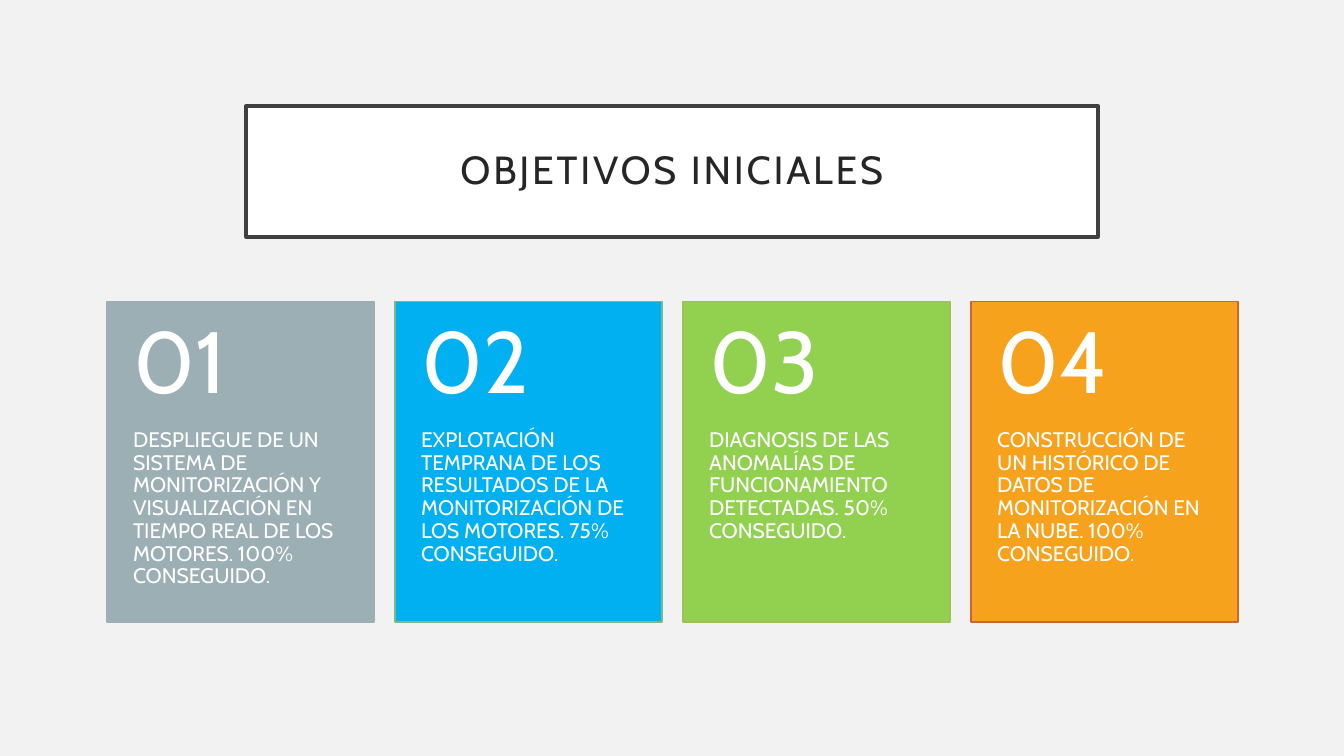
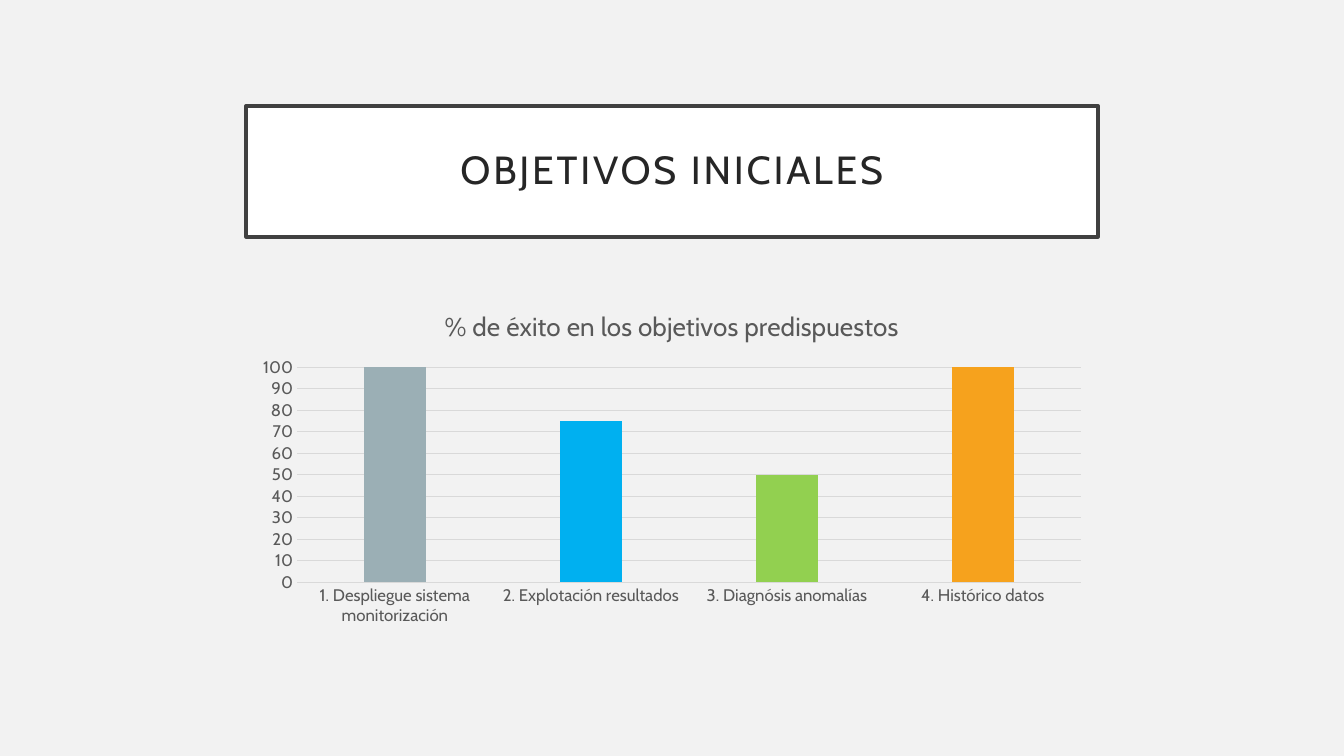
from pptx import Presentation
from pptx.chart.data import CategoryChartData
from pptx.dml.color import RGBColor
from pptx.enum.chart import XL_CHART_TYPE, XL_TICK_MARK
from pptx.enum.shapes import MSO_SHAPE
from pptx.enum.text import MSO_ANCHOR, PP_ALIGN
from pptx.util import Inches, Pt

COLUMNS = XL_CHART_TYPE.COLUMN_CLUSTERED
NO_TICK = XL_TICK_MARK.NONE
RECT = MSO_SHAPE.RECTANGLE
TOP, MIDDLE = MSO_ANCHOR.TOP, MSO_ANCHOR.MIDDLE
CENTER = PP_ALIGN.CENTER

FONT = "Cabin"
COLORS = {
    "background": "F2F2F2",
    "white": "FFFFFF",
    "frame": "404040",
    "title": "262626",
    "chart_text": "595959",
    "grid": "D9D9D9",
    "gray": "9BAFB5",
    "blue": "00B0F0",
    "blue_edge": "7BB88C",
    "green": "92D050",
    "green_edge": "9FC057",
    "orange": "F6A21D",
    "orange_edge": "C96731",
}

TITLE = "OBJETIVOS INICIALES"
CHART_TITLE = "% de éxito en los objetivos predispuestos"
CONTENT_LEFT, CONTENT_WIDTH = 2.44, 8.45
CARD_LEFT, LAST_CARD_LEFT = 1.06, 9.63
CARD_TOP, CARD_WIDTH = 2.99, 2.65
NUMBER_HEIGHT, BODY_HEIGHT = 1.27, 1.91

# Card text, fill, edge, chart category, percentage achieved
OBJECTIVES = [
    ("DESPLIEGUE DE UN SISTEMA DE MONITORIZACIÓN Y VISUALIZACIÓN EN TIEMPO REAL "
     "DE LOS MOTORES. 100% CONSEGUIDO.",
     "gray", "gray", "1. Despliegue sistema monitorización", 100),
    ("EXPLOTACIÓN TEMPRANA DE LOS RESULTADOS DE LA MONITORIZACIÓN DE LOS MOTORES. "
     "75% CONSEGUIDO.",
     "blue", "blue_edge", "2. Explotación resultados", 75),
    ("DIAGNOSIS DE LAS ANOMALÍAS DE FUNCIONAMIENTO DETECTADAS. 50% CONSEGUIDO.",
     "green", "green_edge", "3. Diagnósis anomalías", 50),
    ("CONSTRUCCIÓN DE UN HISTÓRICO DE DATOS DE MONITORIZACIÓN EN LA NUBE. "
     "100% CONSEGUIDO.",
     "orange", "orange_edge", "4. Histórico datos", 100),
]


def rgb(name):
    return RGBColor.from_string(COLORS[name])


def paint(fill, color):
    fill.solid()
    fill.fore_color.rgb = rgb(color)


def style_line(line, color, width):
    line.color.rgb = rgb(color)
    line.width = Pt(width)


def style_font(font, size, color):
    font.name = FONT
    font.size = Pt(size)
    font.bold = False
    font.color.rgb = rgb(color)


def add_box(shapes, box, fill, edge, width):
    sp = shapes.add_shape(RECT, *map(Inches, box))
    sp.shadow.inherit = False
    paint(sp.fill, fill)
    style_line(sp.line, edge, width)
    return sp


def set_text(sp, text, size, color, anchor, insets):
    """Fill a shape with one paragraph; insets are left, top, right, bottom."""
    tf = sp.text_frame
    tf.word_wrap = True
    tf.vertical_anchor = anchor
    tf.margin_left, tf.margin_top, tf.margin_right, tf.margin_bottom = map(Inches, insets)
    p = tf.paragraphs[0]
    p.text = text
    p.line_spacing = 0.9
    style_font(p.font, size, color)
    return p


def add_titled_slide(prs):
    slide = prs.slides.add_slide(prs.slide_layouts[6])
    sp = add_box(slide.shapes, (CONTENT_LEFT, 1.05, CONTENT_WIDTH, 1.3),
                 "white", "frame", 2.5)
    p = set_text(sp, TITLE, 28, "title", MIDDLE, (0.2,) * 4)
    p.alignment = CENTER
    p.runs[0]._r.get_or_add_rPr().set("spc", "200")
    return slide


def add_card(shapes, left, number, text, fill, edge):
    add_box(shapes, (left, CARD_TOP, CARD_WIDTH, NUMBER_HEIGHT + BODY_HEIGHT),
            fill, edge, 1)
    body = shapes.add_textbox(Inches(left), Inches(CARD_TOP + NUMBER_HEIGHT),
                              Inches(CARD_WIDTH), Inches(BODY_HEIGHT))
    set_text(body, text, 15, "white", TOP, (0.26, 0, 0.26, 0.36))
    heading = shapes.add_textbox(Inches(left), Inches(CARD_TOP),
                                 Inches(CARD_WIDTH), Inches(NUMBER_HEIGHT))
    set_text(heading, f"{number:02}", 62, "white", MIDDLE, (0.26, 0.18, 0.26, 0.18))


def add_cards(slide):
    shapes = slide.shapes.add_group_shape().shapes
    step = (LAST_CARD_LEFT - CARD_LEFT) / (len(OBJECTIVES) - 1)
    for i, (text, fill, edge, _, _) in enumerate(OBJECTIVES):
        add_card(shapes, CARD_LEFT + i * step, i + 1, text, fill, edge)


def style_axis(axis):
    axis.major_tick_mark = axis.minor_tick_mark = NO_TICK
    style_font(axis.tick_labels.font, 12, "chart_text")


def add_success_chart(slide):
    data = CategoryChartData()
    data.categories = [category for *_, category, _ in OBJECTIVES]
    data.add_series("Series 1", [value for *_, value in OBJECTIVES])
    box = (CONTENT_LEFT, 2.89, CONTENT_WIDTH, 3.39)
    chart = slide.shapes.add_chart(COLUMNS, *map(Inches, box), data).chart
    chart.has_legend = False
    style_font(chart.font, 10, "chart_text")

    chart.has_title = True
    chart.chart_title.include_in_layout = False
    p = chart.chart_title.text_frame.paragraphs[0]
    p.text = CHART_TITLE
    style_font(p.font, 18.6, "chart_text")

    style_axis(chart.category_axis)
    style_line(chart.category_axis.format.line, "grid", 0.75)
    values = chart.value_axis
    style_axis(values)
    values.minimum_scale, values.maximum_scale, values.major_unit = 0, 100, 10
    values.format.line.fill.background()
    style_line(values.major_gridlines.format.line, "grid", 0.75)

    plot = chart.plots[0]
    plot.gap_width, plot.overlap = 219, -27
    plot.vary_by_categories = False
    for i, (_, fill, *_) in enumerate(OBJECTIVES):
        paint(plot.series[0].points[i].format.fill, fill)


def main():
    prs = Presentation()
    prs.slide_width, prs.slide_height = Inches(13.33), Inches(7.5)
    paint(prs.slide_master.background.fill, "background")
    add_cards(add_titled_slide(prs))
    add_success_chart(add_titled_slide(prs))
    prs.save("out.pptx")


if __name__ == "__main__":
    main()
